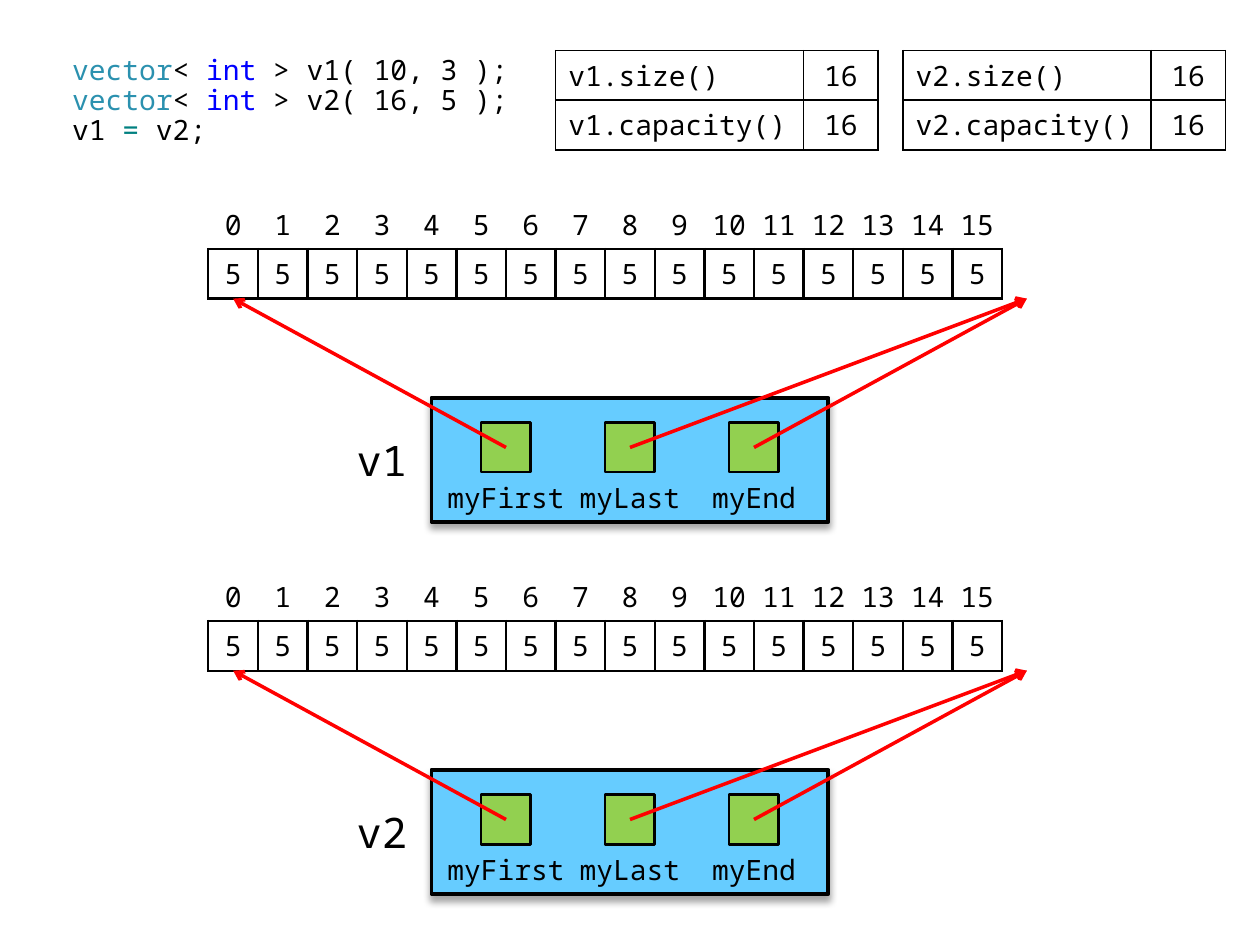
from dataclasses import dataclass

from lxml import etree
from pptx import Presentation
from pptx.dml.color import RGBColor
from pptx.enum.shapes import MSO_CONNECTOR, MSO_SHAPE
from pptx.enum.text import MSO_ANCHOR, MSO_AUTO_SIZE, PP_ALIGN
from pptx.oxml import parse_xml
from pptx.oxml.ns import nsdecls, qn
from pptx.util import Emu, Inches, Pt

PX = 7200  # EMU in one px
CELL = 50
HALF = CELL // 2
PLAIN_TABLE = "{2D5ABB26-0587-4C30-8999-92F81FD0307C}"


@dataclass(frozen=True)
class Theme:
    font: str = "Noto Sans Mono"
    text: int = 16
    name: int = 24
    ink: str = "000000"
    type_name: str = "2B91AF"
    keyword: str = "0000FF"
    operator: str = "008080"
    box: str = "66CCFF"
    pointer: str = "92D050"
    arrow: str = "FF0000"


@dataclass(frozen=True)
class Box:
    x: int
    y: int
    w: int
    h: int

    def emu(self) -> tuple[Emu, ...]:
        return tuple(Emu(v * PX) for v in (self.x, self.y, self.w, self.h))


@dataclass(frozen=True)
class Vector:
    name: str
    y: int
    values: tuple[int, ...]
    capacity: int
    summary_x: int


@dataclass(frozen=True)
class Pointer:
    name: str
    x: int
    target: int  # index of the cell it points at


T = Theme()
CODE = (
    (("vector", T.type_name), ("< ", T.ink), ("int", T.keyword), (" > v1( 10, 3 );", T.ink)),
    (("vector", T.type_name), ("< ", T.ink), ("int", T.keyword), (" > v2( 16, 5 );", T.ink)),
    (("v1 ", T.ink), ("= ", T.operator), ("v2;", T.ink)),
)
VECTORS = (
    Vector("v1", 201, (5,) * 16, 16, 560),
    Vector("v2", 576, (5,) * 16, 16, 910),
)
POINTERS = (Pointer("myEnd", 735, 16), Pointer("myLast", 610, 16), Pointer("myFirst", 485, 0))
ARRAY_X = 210


def assign(obj, **values) -> None:
    for key, value in values.items():
        setattr(obj, key, value)


def add_run(p, text: str, color: str = T.ink, size: int = T.text) -> None:
    r = p.add_run()
    r.text = text
    assign(r.font, name=T.font, size=Pt(size))
    r.font.color.rgb = RGBColor.from_string(color)


def add_label(sp, text: str, size: int = T.text) -> None:
    tf = sp.text_frame
    assign(tf, word_wrap=True, vertical_anchor=MSO_ANCHOR.MIDDLE)
    tf.paragraphs[0].alignment = PP_ALIGN.CENTER
    add_run(tf.paragraphs[0], text, size=size)


def add_box(s, kind, box: Box, fill: str = "", line: float = 0):
    sp = s.shapes.add_shape(kind, *box.emu())
    sp.shadow.inherit = False
    if fill:
        sp.fill.solid()
        sp.fill.fore_color.rgb = RGBColor.from_string(fill)
    else:
        sp.fill.background()
    if line:
        sp.line.width = Pt(line)
        sp.line.color.rgb = RGBColor.from_string(T.ink)
    else:
        sp.line.fill.background()
    return sp


def drop_shadow(sp) -> None:
    effects = sp._element.spPr.find(qn("a:effectLst"))
    effects.append(parse_xml(
        f'<a:outerShdw {nsdecls("a")} blurRad="{Pt(4)}" dist="{Pt(3)}" dir="5400000" '
        f'rotWithShape="0"><a:srgbClr val="{T.ink}"><a:alpha val="35000"/></a:srgbClr>'
        '</a:outerShdw>'))


def add_arrow(s, start: tuple[int, int], end: tuple[int, int]) -> None:
    cx = s.shapes.add_connector(MSO_CONNECTOR.STRAIGHT, *(Emu(v * PX) for v in start + end))
    cx.line.width = Pt(2)
    cx.line.color.rgb = RGBColor.from_string(T.arrow)
    etree.SubElement(cx.line._get_or_add_ln(), qn("a:tailEnd"), type="arrow")
    etree.SubElement(cx._element.spPr, qn("a:effectLst"))


def add_table(s, x: int, y: int, widths: list[int], rows, inset: int):
    """Add a table without style or fill, with every text centred."""
    box = Box(x, y, sum(widths), CELL * len(rows))
    table = s.shapes.add_table(len(rows), len(widths), *box.emu()).table
    assign(table, first_row=False, horz_banding=False)
    table._tbl.tblPr.find(qn("a:tableStyleId")).text = PLAIN_TABLE
    for column, width in zip(table.columns, widths):
        column.width = Emu(width * PX)
    for row, texts in zip(table.rows, rows):
        row.height = Emu(CELL * PX)
        for cell, text in zip(row.cells, texts):
            assign(cell, vertical_anchor=MSO_ANCHOR.MIDDLE,
                   margin_left=Emu(inset * PX), margin_right=Emu(inset * PX),
                   margin_top=Emu(5 * PX), margin_bottom=Emu(5 * PX))
            cell.fill.background()
            p = cell.text_frame.paragraphs[0]
            p.alignment = PP_ALIGN.CENTER
            add_run(p, str(text))
    return table


def set_borders(cell, sides: str, width: float) -> None:
    for i, side in enumerate(sides):
        cell._tc.get_or_add_tcPr().insert(i, parse_xml(
            f'<a:ln{side} {nsdecls("a")} w="{Pt(width)}"><a:solidFill>'
            f'<a:srgbClr val="{T.ink}"/></a:solidFill></a:ln{side}>'))


def draw_code(s) -> None:
    sp = s.placeholders[1]
    for key, value in zip(("left", "top", "width", "height"), Box(60, 27, 475, 150).emu()):
        setattr(sp, key, value)
    tf = sp.text_frame
    assign(tf, word_wrap=True, auto_size=MSO_AUTO_SIZE.NONE, vertical_anchor=MSO_ANCHOR.MIDDLE)
    for i, line in enumerate(CODE):
        p = tf.add_paragraph() if i else tf.paragraphs[0]
        assign(p, line_spacing=0.9, space_before=Pt(0), alignment=PP_ALIGN.LEFT)
        pPr = p._p.get_or_add_pPr()
        pPr.set("marL", "0")
        pPr.set("indent", "0")
        etree.SubElement(pPr, qn("a:buNone"))
        for text, color in line:
            add_run(p, text, color)


def draw_summary(s, v: Vector) -> None:
    rows = ((f"{v.name}.size()", len(v.values)), (f"{v.name}.capacity()", v.capacity))
    table = add_table(s, v.summary_x, 51, [250, 75], rows, 13)
    for cell in table.iter_cells():
        set_borders(cell, "LRTB", 1)
    for row in table.rows:
        row.cells[0].text_frame.paragraphs[0].alignment = PP_ALIGN.LEFT


def draw_vector(s, v: Vector) -> None:
    count = len(v.values)
    array = add_table(s, ARRAY_X, v.y, [CELL] * count, (range(count), v.values), 8)
    for row, sides in zip(array.rows, ("B", "LRTB")):
        for cell in row.cells:
            set_borders(cell, sides, 1.5)

    top = v.y + 4 * CELL
    pointer_y = top + HALF
    add_label(s.shapes.add_textbox(*Box(335, pointer_y, 100, 75).emu()), v.name, T.name)
    drop_shadow(add_box(s, MSO_SHAPE.FLOWCHART_PROCESS, Box(435, top, 400, 125), T.box, 2.25))
    for ptr in POINTERS:
        add_box(s, MSO_SHAPE.RECTANGLE, Box(ptr.x, pointer_y, CELL, CELL), T.pointer, 1.5)
        caption = Box(ptr.x - CELL, pointer_y + CELL, 3 * CELL, CELL)
        add_label(add_box(s, MSO_SHAPE.FLOWCHART_PROCESS, caption), ptr.name)
    for ptr in POINTERS:
        add_arrow(s, (ptr.x + HALF, pointer_y + HALF),
                  (ARRAY_X + ptr.target * CELL + HALF, v.y + 2 * CELL))


def main() -> None:
    prs = Presentation()
    assign(prs, slide_width=Inches(10), slide_height=Inches(7.5))
    s = prs.slides.add_slide(prs.slide_layouts[1])
    title = s.shapes.title._element
    title.getparent().remove(title)
    draw_code(s)
    for v in VECTORS:
        draw_summary(s, v)
        draw_vector(s, v)
    prs.save("out.pptx")


if __name__ == "__main__":
    main()
